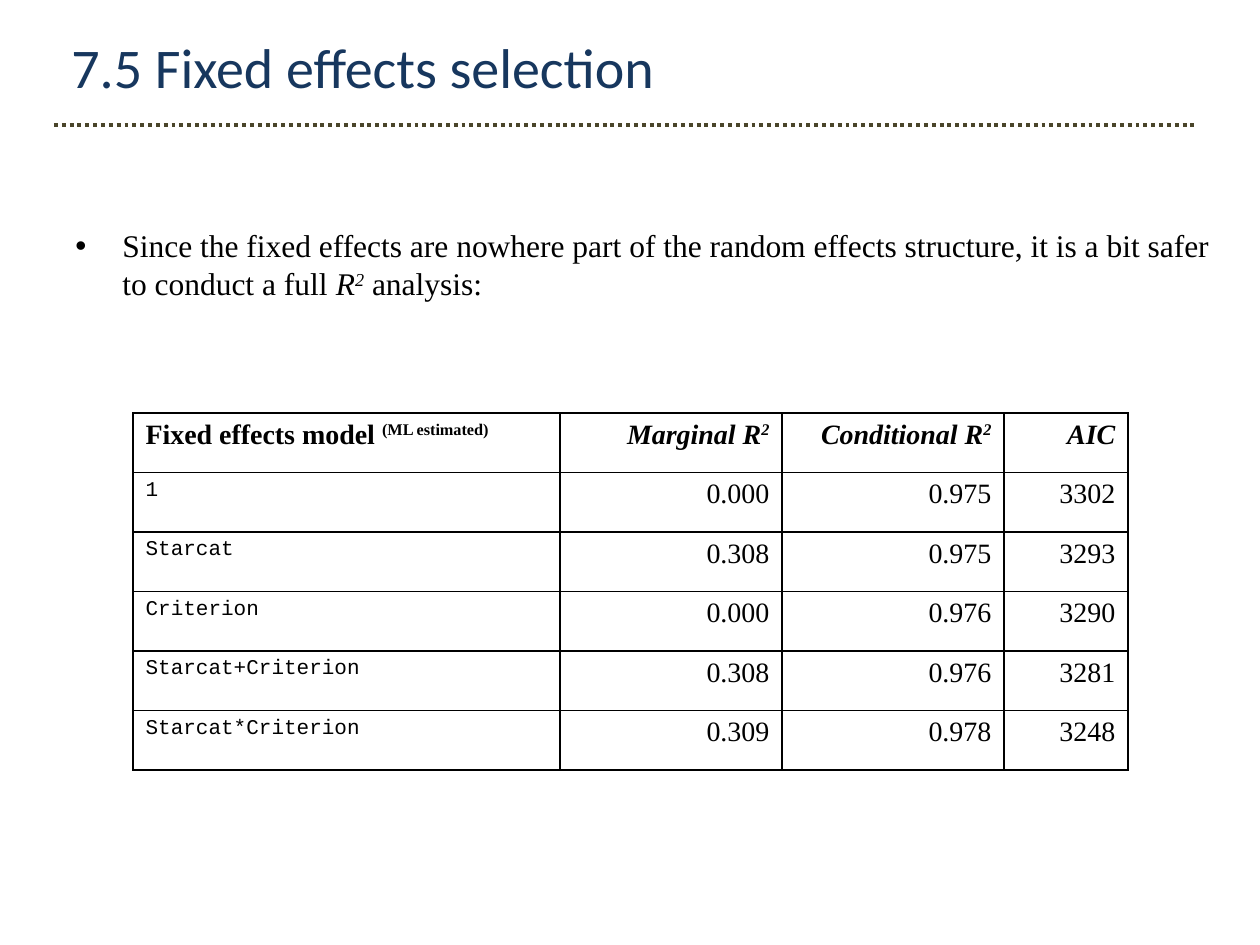
from lxml import etree
from pptx import Presentation
from pptx.dml.color import RGBColor
from pptx.enum.dml import MSO_LINE
from pptx.enum.shapes import MSO_CONNECTOR
from pptx.enum.text import PP_ALIGN
from pptx.oxml.ns import qn
from pptx.util import Pt

STRAIGHT = MSO_CONNECTOR.STRAIGHT
DOTS = MSO_LINE.ROUND_DOT
LEFT, RIGHT = PP_ALIGN.LEFT, PP_ALIGN.RIGHT

BLACK = RGBColor(0x00, 0x00, 0x00)
NAVY = RGBColor(0x17, 0x37, 0x5E)
OLIVE = RGBColor(0x4A, 0x45, 0x2A)
SERIF, SANS, MONO = "Times New Roman", "Calibri", "Courier New"

PX = 914400 // 126

# Flags for a piece of text: b bold, i italic, ^ superscript
HEADER = [
    [("Fixed effects model ", "b"), ("(ML estimated)", "b^")],
    [("Marginal R", "bi"), ("2", "bi^")],
    [("Conditional R", "bi"), ("2", "bi^")],
    [("AIC", "bi")],
]
MODELS = [
    ("1", "0.000", "0.975", "3302"),
    ("Starcat", "0.308", "0.975", "3293"),
    ("Criterion", "0.000", "0.976", "3290"),
    ("Starcat+Criterion", "0.308", "0.976", "3281"),
    ("Starcat*Criterion", "0.309", "0.978", "3248"),
]
COLUMN_WIDTHS = (427, 222, 222, 124)


def px(length):
    return length * PX


def write(para, pieces, size, face, color=BLACK):
    for text, flags in pieces:
        span = para.add_run()
        span.text = text
        font = span.font
        font.size, font.name = Pt(size), face
        font.color.rgb = color
        font.bold, font.italic = "b" in flags, "i" in flags
        if "^" in flags:
            span._r.get_or_add_rPr().set("baseline", "30000")


def add_text(page, left, top, width, height):
    box = page.shapes.add_textbox(px(left), px(top), px(width), px(height))
    box.text_frame.word_wrap = True
    return box.text_frame.paragraphs[0]


def add_bullet(para, indent):
    properties = para._p.get_or_add_pPr()
    properties.set("marL", str(px(indent)))
    properties.set("indent", str(-px(indent)))
    etree.SubElement(properties, qn("a:buFont"), typeface="Arial")
    etree.SubElement(properties, qn("a:buChar"), char="•")


def add_rule(page, left, right, y):
    rule = page.shapes.add_connector(STRAIGHT, px(left), px(y), px(right), px(y))
    rule.line.color.rgb = OLIVE
    rule.line.width = Pt(2.25)
    rule.line.dash_style = DOTS
    etree.SubElement(rule._element.spPr, qn("a:effectLst"))


def add_borders(cell):
    properties = cell._tc.get_or_add_tcPr()
    for side in ("lnL", "lnR", "lnT", "lnB"):
        line = etree.SubElement(properties, qn("a:" + side), w=str(Pt(0.96)))
        fill = etree.SubElement(line, qn("a:solidFill"))
        etree.SubElement(fill, qn("a:srgbClr"), val=str(BLACK))


def add_model_table(page, left, top, height):
    rows = HEADER, *[[[(text, "")] for text in model] for model in MODELS]
    frame = page.shapes.add_table(len(rows), len(COLUMN_WIDTHS), px(left), px(top),
                                  px(sum(COLUMN_WIDTHS)), px(height))
    table = frame.table
    table.first_row = table.horz_banding = False
    for column, width in zip(table.columns, COLUMN_WIDTHS):
        column.width = px(width)
    for r, row in enumerate(rows):
        for c, pieces in enumerate(row):
            cell = table.cell(r, c)
            add_borders(cell)
            cell.fill.background()
            para = cell.text_frame.paragraphs[0]
            para.alignment = RIGHT if c else LEFT
            is_model_name = r > 0 and c == 0
            size, face = (12, MONO) if is_model_name else (16, SERIF)
            write(para, pieces, size, face)


def main():
    deck = Presentation()
    deck.slide_width, deck.slide_height = px(1260), px(945)
    page = deck.slides.add_slide(deck.slide_layouts[6])

    # Bulleted statement
    statement = add_text(page, 63, 220, 1162, 688)
    add_bullet(statement, 47)
    write(statement, [
        ("Since the fixed effects are nowhere part of the random effects structure, "
         "it is a bit safer to conduct a full ", ""),
        ("R", "i"), ("2", "i^"), (" analysis:", ""),
    ], 18, SERIF)

    # Title and dotted rule
    title = add_text(page, 59, 26, 1126, 79)
    write(title, [("7.5 Fixed effects selection", "")], 32, SANS, NAVY)
    add_rule(page, 54, 1196, 125)

    # Model comparison
    add_model_table(page, 133, 413, 357)

    deck.save("out.pptx")


if __name__ == "__main__":
    main()
